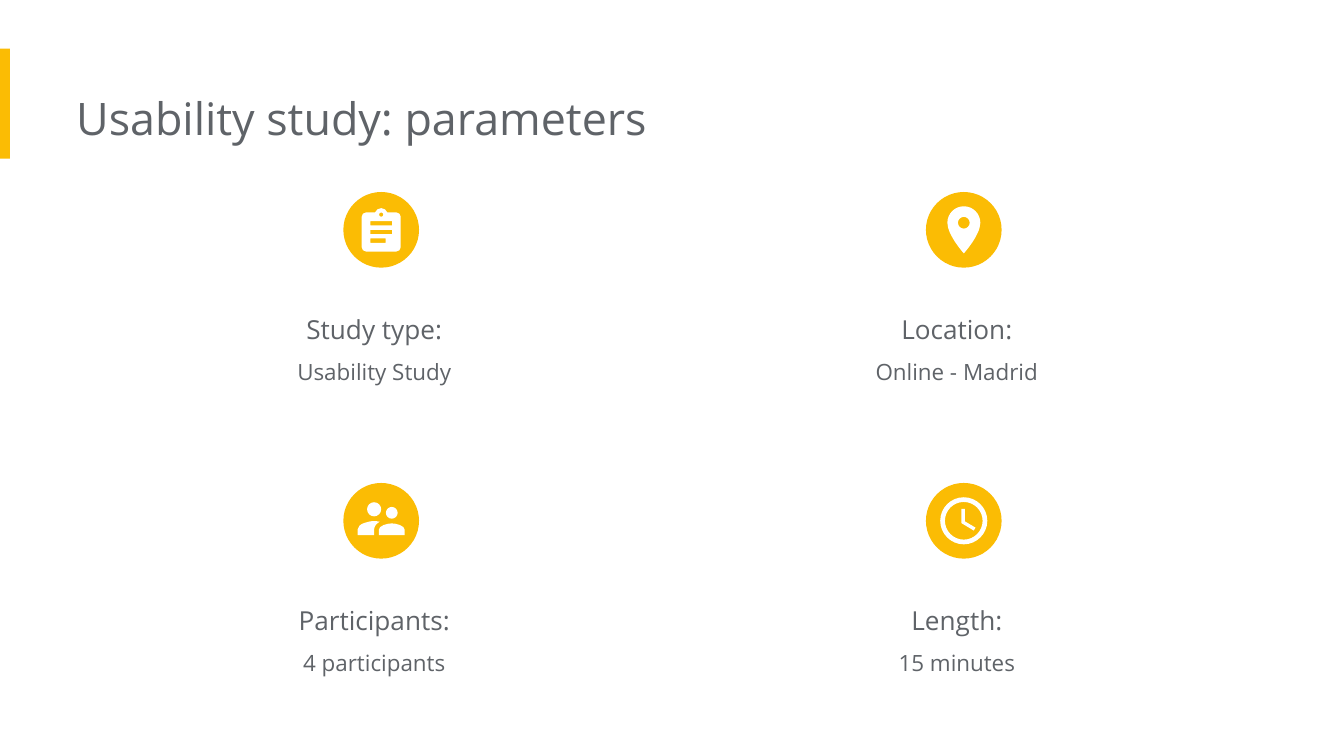
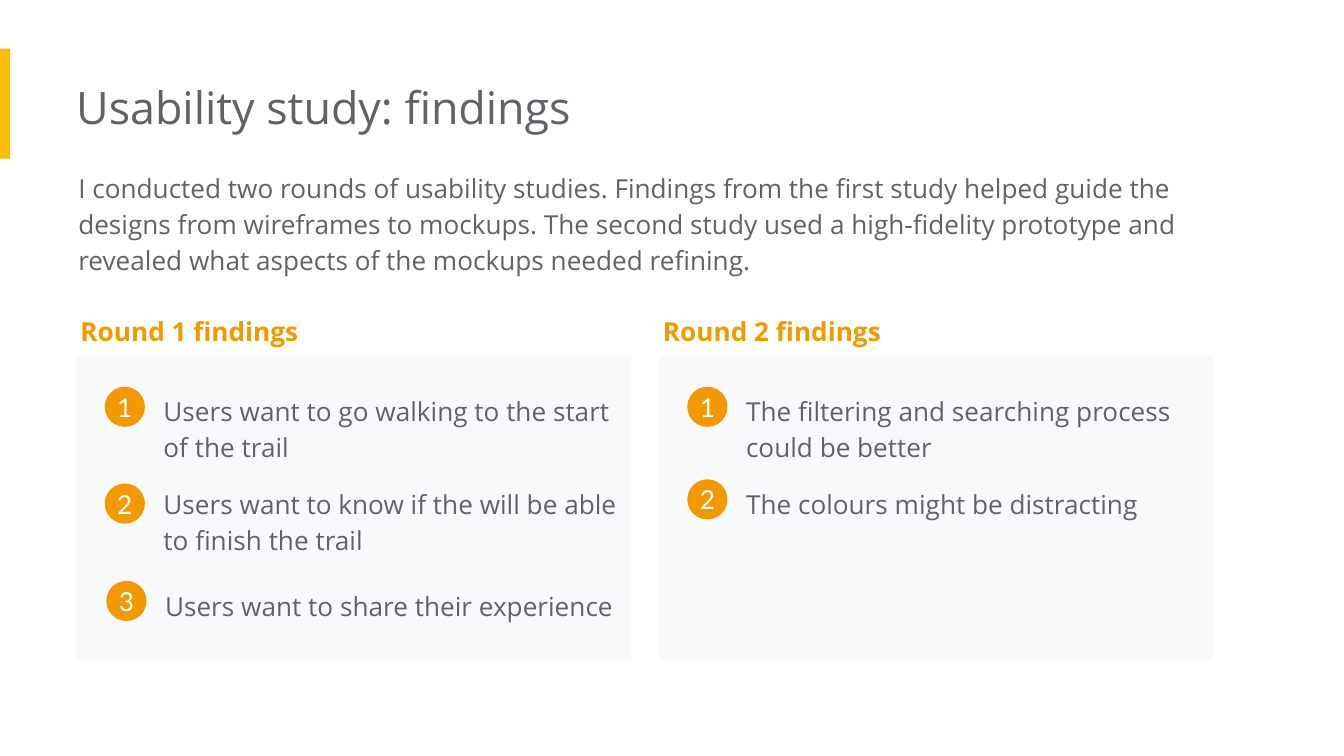
from collections import namedtuple

from lxml.etree import SubElement
from pptx import Presentation
from pptx.dml.color import RGBColor
from pptx.enum.shapes import MSO_SHAPE
from pptx.enum.text import MSO_ANCHOR, MSO_AUTO_SIZE, PP_ALIGN
from pptx.oxml.ns import qn
from pptx.util import Cm, Pt

COLORS = {
    "yellow": "FBBC04",
    "orange": "F29900",
    "grey": "5F6368",
    "panel": "F8F9FA",
    "white": "FFFFFF",
}
BODY = {"name": "Open Sans", "size": Pt(14), "bold": False}
DETAIL = BODY | {"size": Pt(12)}
TITLE = BODY | {"size": Pt(24)}
HEADING = BODY | {"bold": True}
BADGE = BODY | {"name": "Lato"}

INSET = 0.25
MARGIN = 1.44
COLUMN_PITCH = 11.01

# Lengths in centimetres
Box = namedtuple("Box", "left top width height")
Finding = namedtuple("Finding", "text top height badge_top indent", defaults=[0])
# Contours on a 24-unit grid: a step is a point or the three pairs of a cubic curve
Icon = namedtuple("Icon", "unit lift contours")


def circle(x, y, radius):
    k = 0.55 * radius
    left, top, right, bottom = x - radius, y - radius, x + radius, y + radius
    return [(x, top),
            (x - k, top, left, y - k, left, y),
            (left, y + k, x - k, bottom, x, bottom),
            (x + k, bottom, right, y + k, right, y),
            (right, y - k, x + k, top, x, top)]


def rectangle(left, top, right, bottom):
    return [(left, top), (right, top), (right, bottom), (left, bottom)]


CLIPBOARD = Icon(0.041, 0, [
    [(19, 3), (14.82, 3), (14.4, 1.84, 13.3, 1, 12, 1),
     (10.7, 1, 9.6, 1.84, 9.18, 3), (5, 3), (3.9, 3, 3, 3.9, 3, 5),
     (3, 19), (3, 20.1, 3.9, 21, 5, 21), (19, 21),
     (20.1, 21, 21, 20.1, 21, 19), (21, 5), (21, 3.9, 20.1, 3, 19, 3)],
    circle(12, 4, 1),
    rectangle(7, 15, 14, 17),
    rectangle(7, 11, 17, 13),
    rectangle(7, 7, 17, 9),
])
PIN = Icon(0.0445, 0, [
    [(12, 2), (8.13, 2, 5, 5.13, 5, 9), (5, 14.25, 12, 22, 12, 22),
     (12, 22, 19, 14.25, 19, 9), (19, 5.13, 15.87, 2, 12, 2)],
    circle(12, 9, 2.5),
])
PEOPLE = Icon(0.0445, 0.04, [
    circle(16.5, 9.5, 2.5),
    circle(9, 8, 3),
    [(16.5, 14), (14.67, 14, 11, 14.92, 11, 16.75), (11, 19), (22, 19),
     (22, 16.75), (22, 14.92, 18.33, 14, 16.5, 14)],
    [(9, 13), (6.67, 13, 2, 14.17, 2, 16.5), (2, 19), (9, 19), (9, 16.75),
     (9, 15.9, 9.33, 14.41, 11.37, 13.28), (10.5, 13.1, 9.66, 13, 9, 13)],
])
CLOCK = Icon(0.0445, 0, [
    circle(12, 12, 10),
    circle(12, 12, 8),
    [(11, 7), (11, 13), (16.25, 16.15), (17, 14.92), (12.5, 12.25), (12.5, 7)],
])

PARAMETERS = [
    ("Study type:", "Usability Study", CLIPBOARD),
    ("Location:", "Online - Madrid", PIN),
    ("Participants:", "4 participants", PEOPLE),
    ("Length:", "15 minutes", CLOCK),
]
INTRO = ("I conducted two rounds of usability studies. Findings from the first study "
         "helped guide the designs from wireframes to mockups. The second study used a "
         "high-fidelity prototype and revealed what aspects of the mockups needed refining.")
ROUNDS = [
    ("Round 1 findings", [
        Finding("Users want to go walking to the start of the trail", 0.41, 1.88, 0.58),
        Finding("Users want to know if the will be able to finish the trail", 2.16, 1.88, 2.41),
        Finding("Users want to share their experience", 4.09, 1.19, 4.25, 0.03),
    ]),
    ("Round 2 findings", [
        Finding("The filtering and searching process could be better", 0.41, 1.88, 0.58),
        Finding("The colours might be distracting", 2.16, 1.19, 2.33),
    ]),
]


def rgb(color):
    return RGBColor.from_string(COLORS[color])


def apply_format(target, values):
    for attribute, value in values.items():
        setattr(target, attribute, value)


def paint(shape, color):
    shape.shadow.inherit = False
    shape.fill.solid()
    shape.fill.fore_color.rgb = rgb(color)
    shape.line.fill.background()


def add_filled(slide, kind, box, color):
    shape = slide.shapes.add_shape(kind, *map(Cm, box))
    paint(shape, color)
    return shape


def write(frame, lines, color, layout):
    """Fill a text frame with (text, font format) lines."""
    for i, (text, font_format) in enumerate(lines):
        paragraph = frame.add_paragraph() if i else frame.paragraphs[0]
        apply_format(paragraph, layout)
        run = paragraph.add_run()
        run.text = text
        apply_format(run.font, font_format)
        run.font.color.rgb = rgb(color)


def add_text(slide, box, lines, color="grey", spacing=1.15, align=PP_ALIGN.LEFT, left_inset=0):
    frame = slide.shapes.add_textbox(*map(Cm, box)).text_frame
    apply_format(frame, {
        "word_wrap": True,
        "auto_size": MSO_AUTO_SIZE.SHAPE_TO_FIT_TEXT,
        "margin_left": Cm(left_inset),
        "margin_top": Cm(INSET),
        "margin_right": Cm(INSET),
        "margin_bottom": Cm(INSET),
    })
    write(frame, lines, color, {"line_spacing": spacing, "alignment": align})


def bend(outline, contours):
    """Replace the straight segments of curved steps with cubic curves."""
    segments = [node for node in outline.element.iter(qn("a:moveTo"), qn("a:lnTo"))]
    steps = [step for contour in contours for step in contour]
    for segment, step in zip(segments, steps):
        if len(step) == 2:
            continue
        segment.tag = qn("a:cubicBezTo")
        segment.remove(segment[0])
        for x, y in step:
            SubElement(segment, qn("a:pt"), x=str(x - outline.left), y=str(y - outline.top))


def add_icon(slide, box, icon):
    """Draw an icon in the middle of the box, raised by its lift."""
    xs, ys = zip(*(step[-2:] for contour in icon.contours for step in contour))
    left = box.left + box.width / 2 - icon.unit * (min(xs) + max(xs)) / 2
    top = box.top + box.height / 2 - icon.unit * (min(ys) + max(ys)) / 2 - icon.lift

    def place(step):
        return [(Cm(left + icon.unit * x), Cm(top + icon.unit * y))
                for x, y in zip(step[::2], step[1::2])]

    placed = [[place(step) for step in contour] for contour in icon.contours]
    builder = slide.shapes.build_freeform(*placed[0][0][0])
    for i, contour in enumerate(placed):
        if i:
            builder.move_to(*contour[0][0])
        builder.add_line_segments([step[-1] for step in contour[1:]])
    outline = builder.convert_to_shape()
    paint(outline, "white")
    bend(outline, [[step if len(step) == 3 else step * 2 for step in contour]
                   for contour in placed])


def add_titled_slide(deck, title, title_top):
    slide = deck.slides.add_slide(deck.slide_layouts[6])
    add_filled(slide, MSO_SHAPE.RECTANGLE, Box(0, 0.92, 0.19, 2.08), "yellow")
    add_text(slide, Box(MARGIN, title_top, 17.1, 1.52), [(title, TITLE)], spacing=1.0)
    return slide


def add_parameter(slide, box, label, value, icon):
    disc = Box(box.left + 4.08, box.top, 1.43, 1.43)
    add_text(slide, Box(box.left, box.top + 1.74, box.width, 2.16),
             [(label, BODY), (value, DETAIL)], spacing=1.5, align=PP_ALIGN.CENTER)
    add_filled(slide, MSO_SHAPE.OVAL, disc, "yellow")
    add_icon(slide, disc, icon)


def add_badge(slide, box, number):
    frame = add_filled(slide, MSO_SHAPE.OVAL, box, "orange").text_frame
    apply_format(frame, {
        "vertical_anchor": MSO_ANCHOR.MIDDLE,
        "margin_left": 0, "margin_top": 0, "margin_right": 0, "margin_bottom": 0,
    })
    write(frame, [(str(number), BADGE)], "white", {"alignment": PP_ALIGN.CENTER})


def add_round(slide, box, heading, findings):
    add_filled(slide, MSO_SHAPE.RECTANGLE, box, "panel")
    for number, finding in enumerate(findings, 1):
        left = box.left + finding.indent
        add_text(slide, Box(left + 1.4, box.top + finding.top, 9.27, finding.height),
                 [(finding.text, BODY)], left_inset=INSET)
        add_badge(slide, Box(left + 0.54, box.top + finding.badge_top, 0.76, 0.76), number)
    add_text(slide, Box(box.left - 0.17, box.top - 1.11, 9.27, 1.19),
             [(heading, HEADING)], color="orange", left_inset=INSET)


def parameters_slide(deck):
    slide = add_titled_slide(deck, "Usability study: parameters", 1.46)
    for i, parameter in enumerate(PARAMETERS):
        row, column = divmod(i, 2)
        box = Box(2.41 + column * COLUMN_PITCH, 3.63 + row * 5.5, 9.58, 3.9)
        add_parameter(slide, box, *parameter)


def findings_slide(deck):
    slide = add_titled_slide(deck, "Usability study: findings", 1.25)
    add_text(slide, Box(1.48, 2.92, 21.87, 2.54), [(INTRO, BODY)])
    for column, (heading, findings) in enumerate(ROUNDS):
        box = Box(MARGIN + column * COLUMN_PITCH, 6.73, 10.49, 5.74)
        add_round(slide, box, heading, findings)


def main():
    deck = Presentation()
    deck.slide_width, deck.slide_height = Cm(25.4), Cm(14.29)
    parameters_slide(deck)
    findings_slide(deck)
    deck.save("out.pptx")


if __name__ == "__main__":
    main()
